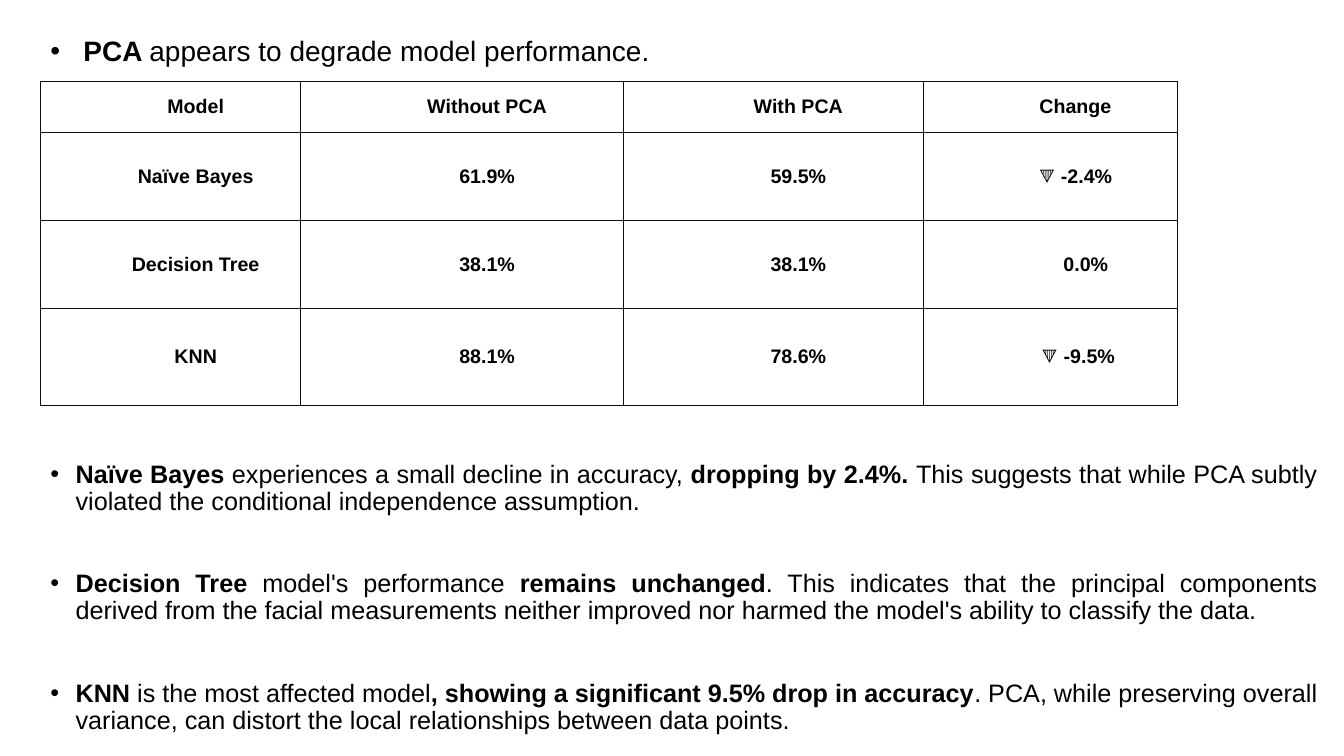
"""Build the slide that compares model accuracy with and without PCA."""
from lxml.etree import SubElement
from pptx import Presentation
from pptx.dml.color import RGBColor
from pptx.enum.text import MSO_ANCHOR as Anchor, MSO_AUTO_SIZE as AutoSize, PP_ALIGN as Align
from pptx.oxml.ns import qn
from pptx.util import Pt


def write(paragraph, text, size=18, bold=False, color="000000", font="Arial"):
    run = paragraph.add_run()
    run.text = text
    run.font.size = Pt(size)
    run.font.bold = bold
    run.font.name = font
    run.font.color.rgb = RGBColor.from_string(color)


def set_indent(paragraph, left, first=0):
    properties = paragraph._p.get_or_add_pPr()
    properties.set("marL", str(Pt(left)))
    properties.set("indent", str(Pt(first)))


deck = Presentation()
deck.slide_width, deck.slide_height = Pt(960), Pt(540)
slide = deck.slides.add_slide(deck.slide_layouts[1])
heading = slide.shapes.title
heading.element.getparent().remove(heading.element)

findings = slide.placeholders[1]
findings.left, findings.top, findings.width, findings.height = Pt(28.8), Pt(23), Pt(919.4), Pt(517)
findings_frame = findings.text_frame
findings_frame.auto_size = AutoSize.NONE
findings_frame.vertical_anchor = Anchor.TOP

points = [
    (20, 6, [(" ", False), ("PCA ", True), ("appears to degrade model performance.", False)]),
    (18, 281.4, [
        ("Naïve Bayes", True),
        (" experiences a small decline in accuracy,", False),
        (" dropping by 2.4%. ", True),
        ("This suggests that while PCA subtly violated the conditional "
         "independence assumption.", False)]),
    (18, 39, [
        ("Decision Tree ", True),
        ("model's performance", False),
        (" remains unchanged", True),
        (". This indicates that the principal components derived from the facial "
         "measurements neither improved nor harmed the model's ability to classify "
         "the data. ", False)]),
    (18, 39.6, [
        ("KNN ", True),
        ("is the most affected model", False),
        (", showing a significant 9.5% drop in accuracy", True),
        (". PCA, while preserving overall variance, can distort the local "
         "relationships between data points.", False)]),
]
for number, (size, gap, phrases) in enumerate(points):
    point = findings_frame.add_paragraph() if number else findings_frame.paragraphs[0]
    point.alignment = Align.JUSTIFY
    point.line_spacing = 0.9
    point.space_before, point.space_after = Pt(gap), Pt(0)
    set_indent(point, 18, -18)
    for text, bold in phrases:
        write(point, text, size=size, bold=bold)

accuracy = [
    (36.5, ("Model", "Without PCA", "With PCA", "Change")),
    (62.8, ("Naïve Bayes", "61.9%", "59.5%", "🔻 -2.4%")),
    (62.8, ("Decision Tree", "38.1%", "38.1%", " 0.0%")),
    (69, ("KNN", "88.1%", "78.6%", " 🔻 -9.5%")),
]
column_widths = [186, 230.4, 214.2, 181.6]
top = 58.2
for height, labels in accuracy:
    band = slide.shapes.add_table(1, 4, Pt(28.8), Pt(top), Pt(sum(column_widths)),
                                  Pt(height)).table
    band.first_row = band.horz_banding = False
    top += height
    for column, width, cell, label in zip(band.columns, column_widths,
                                          band.rows[0].cells, labels):
        column.width = Pt(width)
        cell.margin_left = cell.margin_right = cell.margin_top = cell.margin_bottom = Pt(0.7)
        cell.vertical_anchor = Anchor.MIDDLE
        entry = cell.text_frame.paragraphs[0]
        entry.alignment = Align.CENTER
        entry.space_before = entry.space_after = Pt(5)
        set_indent(entry, 47 if label == " 0.0%" else 36)
        write(entry, label, size=14, bold=True)
        borders = cell._tc.get_or_add_tcPr()
        for side in ("a:lnL", "a:lnR", "a:lnT", "a:lnB"):
            line = SubElement(borders, qn(side), w=str(Pt(0.75)))
            SubElement(SubElement(line, qn("a:solidFill")), qn("a:srgbClr"), val="0D0D0D")
        cell.fill.solid()
        cell.fill.fore_color.rgb = RGBColor.from_string("FFFFFF")

deck.save("out.pptx")
